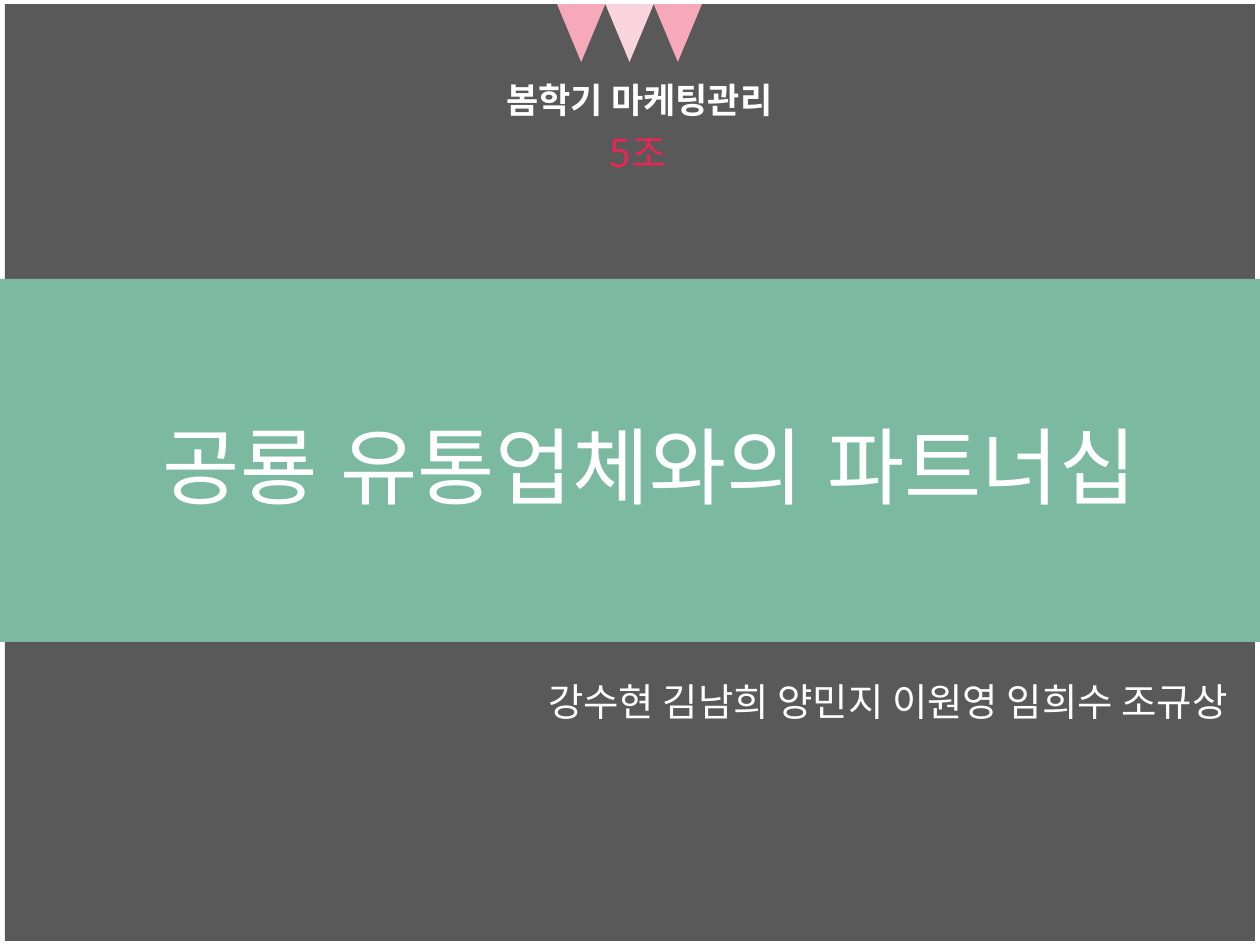
from dataclasses import dataclass

from lxml import etree
from pptx import Presentation
from pptx.dml.color import RGBColor
from pptx.enum.shapes import MSO_SHAPE
from pptx.enum.text import MSO_ANCHOR, PP_ALIGN
from pptx.oxml.ns import qn
from pptx.util import Emu, Pt

RECT = MSO_SHAPE.RECTANGLE
TRI = MSO_SHAPE.ISOSCELES_TRIANGLE
RIGHT = PP_ALIGN.RIGHT
CENTER = PP_ALIGN.CENTER
TOP = MSO_ANCHOR.TOP


@dataclass(frozen=True)
class Theme:
    dark: str = "595959"
    green: str = "7BB9A0"
    pink: str = "F5A9BB"
    pale: str = "FAD4DD"
    red: str = "E52754"
    white: str = "FFFFFF"
    sans: str = "Noto Sans CJK KR"
    latin: str = "Arial"
    title: int = 48
    body: int = 22
    course: int = 20


THEME = Theme()


def px(n):
    return Emu(round(n * 914400 / 126))


def add_fill(slide, kind, box, color):
    shape = slide.shapes.add_shape(kind, *map(px, box))
    shape.shadow.inherit = False
    shape.fill.solid()
    shape.fill.fore_color.rgb = RGBColor.from_string(color)
    shape.line.fill.background()
    return shape


def add_text(slide, box, text, size, color, face, align=RIGHT, bold=False):
    frame = slide.shapes.add_textbox(*map(px, box)).text_frame
    frame.word_wrap = True
    frame.vertical_anchor = TOP
    frame.text = text
    para = frame.paragraphs[0]
    para.alignment = align
    font = para.runs[0].font
    font.size = Pt(size)
    font.bold = bold
    font.color.rgb = RGBColor.from_string(color)
    font.name = face
    props = para.runs[0]._r.get_or_add_rPr()
    etree.SubElement(props, qn("a:ea")).set("typeface", face)


def add_flags(slide, box):
    left, top, width, height = box
    step = width / 3
    for i, color in enumerate((THEME.pink, THEME.pale, THEME.pink)):
        flag = add_fill(slide, TRI, (left + i * step, top, step, height), color)
        flag.rotation = 180


def add_head(slide, box):
    left, top, width, height = box
    add_flags(slide, (left + 153, top, 145, 58))
    add_text(slide, (left, top + 68, width, 55), "봄학기 마케팅관리",
             THEME.course, THEME.white, THEME.sans, bold=True)
    add_text(slide, (left, top + 119, width - 106, 59), "5조",
             THEME.body, THEME.red, THEME.sans)


def add_band(slide, box):
    left, top, width, height = box
    add_fill(slide, RECT, box, THEME.green)
    add_text(slide, (left + 40, top + 129, width - 40, 115),
             "공룡 유통업체와의 파트너십", THEME.title, THEME.white,
             THEME.latin, CENTER)


def add_names(slide, box):
    add_text(slide, box, "강수현 김남희 양민지 이원영 임희수 조규상",
             THEME.body, THEME.white, THEME.sans)


def main():
    deck = Presentation()
    deck.slide_width, deck.slide_height = px(1260), px(945)
    slide = deck.slides.add_slide(deck.slide_layouts[6])
    add_fill(slide, RECT, (5, 4, 1250, 937), THEME.dark)
    add_head(slide, (404, 4, 381, 178))
    add_band(slide, (0, 279, 1260, 363))
    add_names(slide, (338, 672, 902, 59))
    deck.save("out.pptx")


if __name__ == "__main__":
    main()
